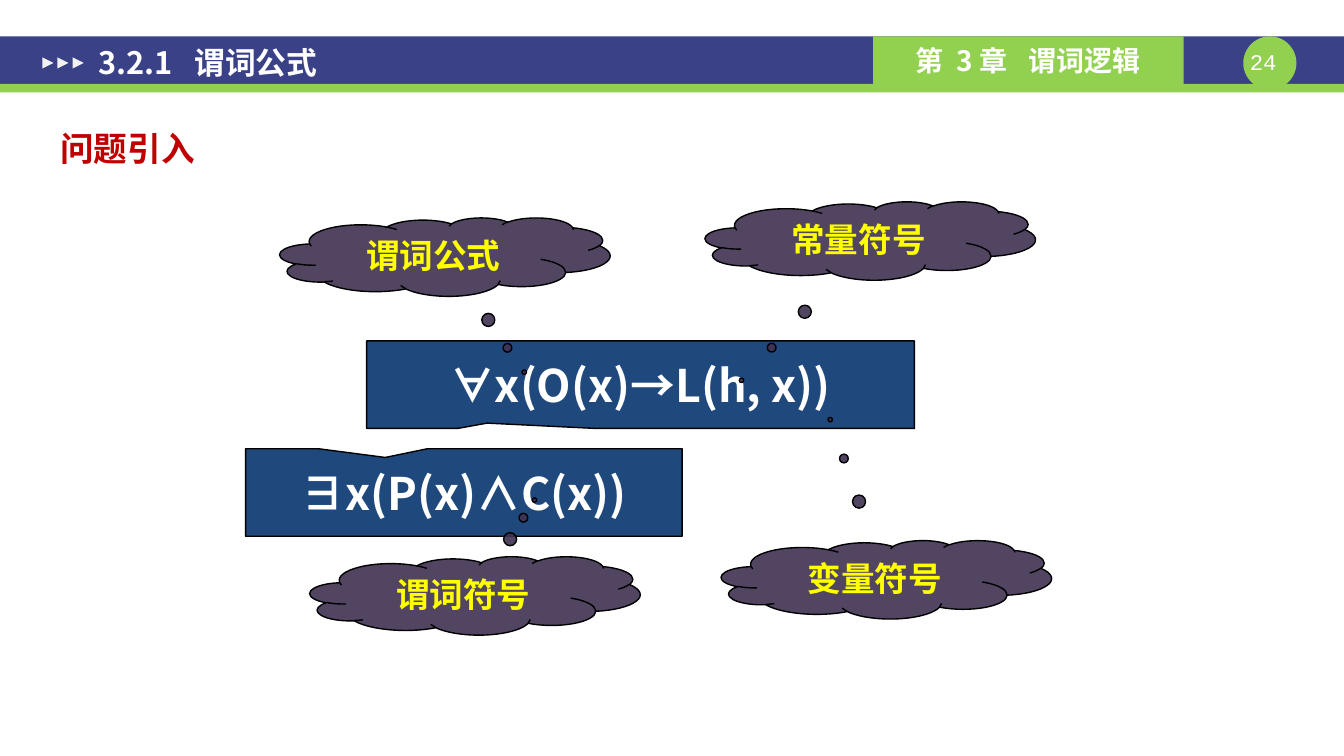
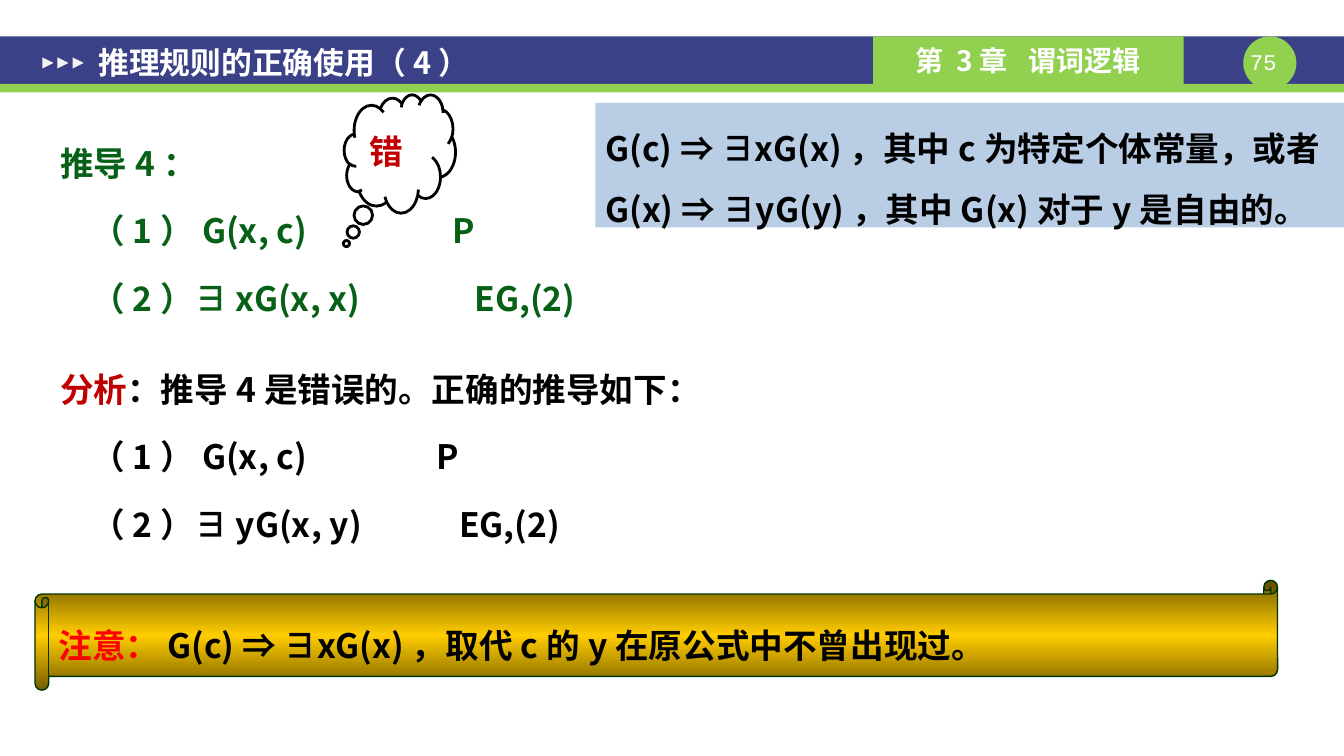
from copy import deepcopy
from dataclasses import dataclass

from lxml import etree
from pptx import Presentation
from pptx.dml.color import RGBColor
from pptx.enum.shapes import MSO_SHAPE
from pptx.enum.text import MSO_ANCHOR, PP_ALIGN
from pptx.oxml.ns import qn
from pptx.util import Pt

RECT, OVAL, TRIANGLE = MSO_SHAPE.RECTANGLE, MSO_SHAPE.OVAL, MSO_SHAPE.ISOSCELES_TRIANGLE
BOX_CALLOUT, CLOUD = MSO_SHAPE.RECTANGULAR_CALLOUT, MSO_SHAPE.CLOUD_CALLOUT
SCROLL = MSO_SHAPE.HORIZONTAL_SCROLL
TOP, MIDDLE = MSO_ANCHOR.TOP, MSO_ANCHOR.MIDDLE
LEFT, CENTER = PP_ALIGN.LEFT, PP_ALIGN.CENTER


@dataclass(frozen=True)
class Theme:
    # Colours
    navy: str = "3A4187"
    lime: str = "92D050"
    arrow: str = "F2F2F2"
    white: str = "FFFFFF"
    black: str = "000000"
    formula: str = "1F497D"
    cloud: str = "403152"
    yellow: str = "FFFF00"
    crimson: str = "C00000"
    red: str = "FF0000"
    green: str = "066015"
    rule: str = "B9CDE5"
    scroll_edge: str = "003300"
    gold: tuple = ("765E00", "FFCC00", "765E00")
    # Type
    font: str = "Noto Sans CJK SC"
    cloud_font: str = "Arial"
    number_font: str = "Courier New"
    number: int = 16
    chapter: int = 20
    title: int = 22
    body: int = 24
    big: int = 32
    # Page
    width: float = 960.5
    height: float = 540


class Deck:
    def __init__(self, theme):
        self.theme = theme
        self.file = Presentation()
        self.file.slide_width, self.file.slide_height = Pt(theme.width), Pt(theme.height)
        self.slide = None

    def shape(self, kind, box, fill, line=None, weight=1, adjust=(), alpha=None):
        item = self.slide.shapes.add_shape(kind, *map(Pt, box))
        item.shadow.inherit = False
        for index, value in enumerate(adjust):
            item.adjustments[index] = value
        if isinstance(fill, tuple):
            self.gradient(item, fill)
        else:
            item.fill.solid()
            item.fill.fore_color.rgb = RGBColor.from_string(fill)
        if alpha:
            colour = item.element.spPr.find(qn("a:solidFill"))[0]
            etree.SubElement(colour, qn("a:alpha")).set("val", str(alpha * 1000))
        if line:
            item.line.color.rgb = RGBColor.from_string(line)
            item.line.width = Pt(weight)
        else:
            item.line.fill.background()
        return item

    def gradient(self, item, colours):
        item.fill.gradient()
        item.fill.gradient_angle = 90
        stops = item.element.spPr.find(".//" + qn("a:gsLst"))
        while len(stops) < len(colours):
            stops.append(deepcopy(stops[0]))
        for index, stop in enumerate(item.fill.gradient_stops):
            stop.position = index / (len(colours) - 1)
            stop.color.rgb = RGBColor.from_string(colours[index])

    def text_box(self, box):
        return self.slide.shapes.add_textbox(*map(Pt, box))

    def put_text(self, item, lines, size, color, font=None, bold=True, align=LEFT,
                 anchor=MIDDLE, spacing=None, before=None, insets=None, tabs=()):
        """Each line is a string or a list of (string, colour); tabs has one tuple per line."""
        frame = item.text_frame
        frame.word_wrap = True
        frame.vertical_anchor = anchor
        if insets:
            (frame.margin_left, frame.margin_top,
             frame.margin_right, frame.margin_bottom) = map(Pt, insets)
        for index, line in enumerate(lines):
            paragraph = frame.add_paragraph() if index else frame.paragraphs[0]
            paragraph.alignment = align
            if spacing:
                paragraph.line_spacing = spacing
            if before:
                paragraph.space_before = Pt(before)
            if index < len(tabs) and tabs[index]:
                self.tab_stops(paragraph, tabs[index])
            for words, tone in [(line, color)] if isinstance(line, str) else line:
                run = paragraph.add_run()
                run.text = words
                run.font.size, run.font.bold = Pt(size), bold
                run.font.name = font or self.theme.font
                run.font.color.rgb = RGBColor.from_string(tone)
                east_asian = etree.SubElement(run.font._element, qn("a:ea"))
                east_asian.set("typeface", self.theme.font)

    def tab_stops(self, paragraph, positions):
        stops = etree.SubElement(paragraph._p.get_or_add_pPr(), qn("a:tabLst"))
        for position in positions:
            etree.SubElement(stops, qn("a:tab"), pos=str(Pt(position)), algn="l")

    def new_slide(self, title, number, title_tabs=()):
        t = self.theme
        self.slide = self.file.slides.add_slide(self.file.slide_layouts[6])
        # Header bands
        self.shape(RECT, (0, 26, t.width, 34), t.navy)
        self.shape(RECT, (0, 60, t.width, 6), t.lime)
        # Page number
        self.shape(OVAL, (888.5, 26, 38, 38), t.lime)
        self.put_text(self.text_box((888.5, 34.5, 38, 19.5)), [f"{number} "], t.number,
                      t.white, t.number_font, bold=False, align=CENTER, anchor=TOP,
                      insets=(0, 0, 0, 0))
        # Chapter tag
        self.put_text(self.shape(RECT, (624, 26, 222, 34), t.lime), ["第 3章\t谓词逻辑"],
                      t.chapter, t.white, insets=(30, 3.6, 7.2, 3.6), tabs=[(81,)])
        # Arrow marks
        for step in range(3):
            self.shape(TRIANGLE, (30.2 + 10.8 * step, 41, 8, 8), t.arrow).rotation = 90
        # Title
        self.put_text(self.text_box((61, 29, 418, 31.5)), [title], t.title, t.white,
                      insets=(9.4, 5, 9.4, 5), tabs=[title_tabs])

    def formula(self, words, box, pointer):
        t = self.theme
        callout = self.shape(BOX_CALLOUT, box, t.formula, t.black, adjust=pointer)
        self.put_text(callout, [words], t.big, t.white, align=CENTER)

    def term(self, words, left, top, pointer):
        t = self.theme
        cloud = self.shape(CLOUD, (left, top, 236, 56), t.cloud, t.black,
                           adjust=pointer, alpha=90)
        self.put_text(cloud, [words], t.body, t.yellow, t.cloud_font, align=CENTER)

    def derivation(self, heading, steps, top, color):
        """Steps are (number and formula, reason, position of the reason)."""
        lines = [heading] + [f"\t{formula}\t{reason}" for formula, reason, _ in steps]
        self.put_text(self.text_box((36, top, 756, 142)), lines, self.theme.body, color,
                      anchor=TOP, spacing=1.5, before=5,
                      tabs=[()] + [(22, position) for _, _, position in steps])


def symbols_slide(deck):
    t = deck.theme
    deck.new_slide("3.2.1\t谓词公式", 24, (68.5,))
    # Formulas and the terms that point into them
    deck.formula("∀x(O(x)→L(h, x))", (262, 243.5, 391.5, 62.5), (-0.28, 0.44))
    deck.term("常量符号", 504, 144, (-0.39, 1.78))
    deck.term("变量符号", 515.5, 386, (-0.17, -2.04))
    deck.term("谓词公式", 200, 155.5, (0.24, 1.47))
    deck.formula("∃x(P(x)∧C(x))", (175.5, 320.5, 312, 62.5), (-0.18, -0.4))
    deck.term("谓词符号", 221.5, 397.5, (0.18, -1.22))
    # Heading
    deck.put_text(deck.text_box((36, 88, 120, 36)), ["问题引入"], t.body, t.crimson, anchor=TOP)


def inference_slide(deck):
    t = deck.theme
    deck.new_slide("推理规则的正确使用（4）", 75)
    # Wrong derivation, then the corrected one
    deck.derivation("推导4：", [("（1）G(x, c)", "P", 280),
                               ("（2）∃xG(x, x)", "EG,(2)", 296)], 84, t.green)
    analysis = [("分析", t.crimson), ("：推导4是错误的。正确的推导如下：", t.black)]
    deck.derivation(analysis, [("（1）G(x, c)", "P", 269),
                               ("（2）∃yG(x, y)", "EG,(2)", 285)], 245.5, t.black)
    # Note on the scroll
    scroll = deck.shape(SCROLL, (25, 414.5, 888, 78.5), t.gold, t.scroll_edge, adjust=(0.125,))
    note = [("注意：", t.red), ("G(c) ⇒ ∃xG(x)，取代c的y在原公式中不曾出现过。", t.black)]
    deck.put_text(scroll, [note], t.body, t.black, spacing=1.5)
    # Rule panel
    panel = deck.shape(RECT, (425.5, 73.5, 535, 89), t.rule)
    deck.put_text(panel, ["G(c) ⇒ ∃xG(x)，其中c为特定个体常量，或者",
                          "G(x) ⇒ ∃yG(y)，其中G(x)对于y是自由的。"],
                  t.body, t.black, anchor=TOP, spacing=1.5)
    # Verdict
    verdict = deck.shape(CLOUD, (246, 67.5, 79.5, 84.5), t.white, t.black, 2, (-0.48, 0.76))
    deck.put_text(verdict, ["错"], t.body, t.crimson, t.cloud_font)


def main():
    deck = Deck(Theme())
    symbols_slide(deck)
    inference_slide(deck)
    deck.file.save("out.pptx")


if __name__ == "__main__":
    main()
